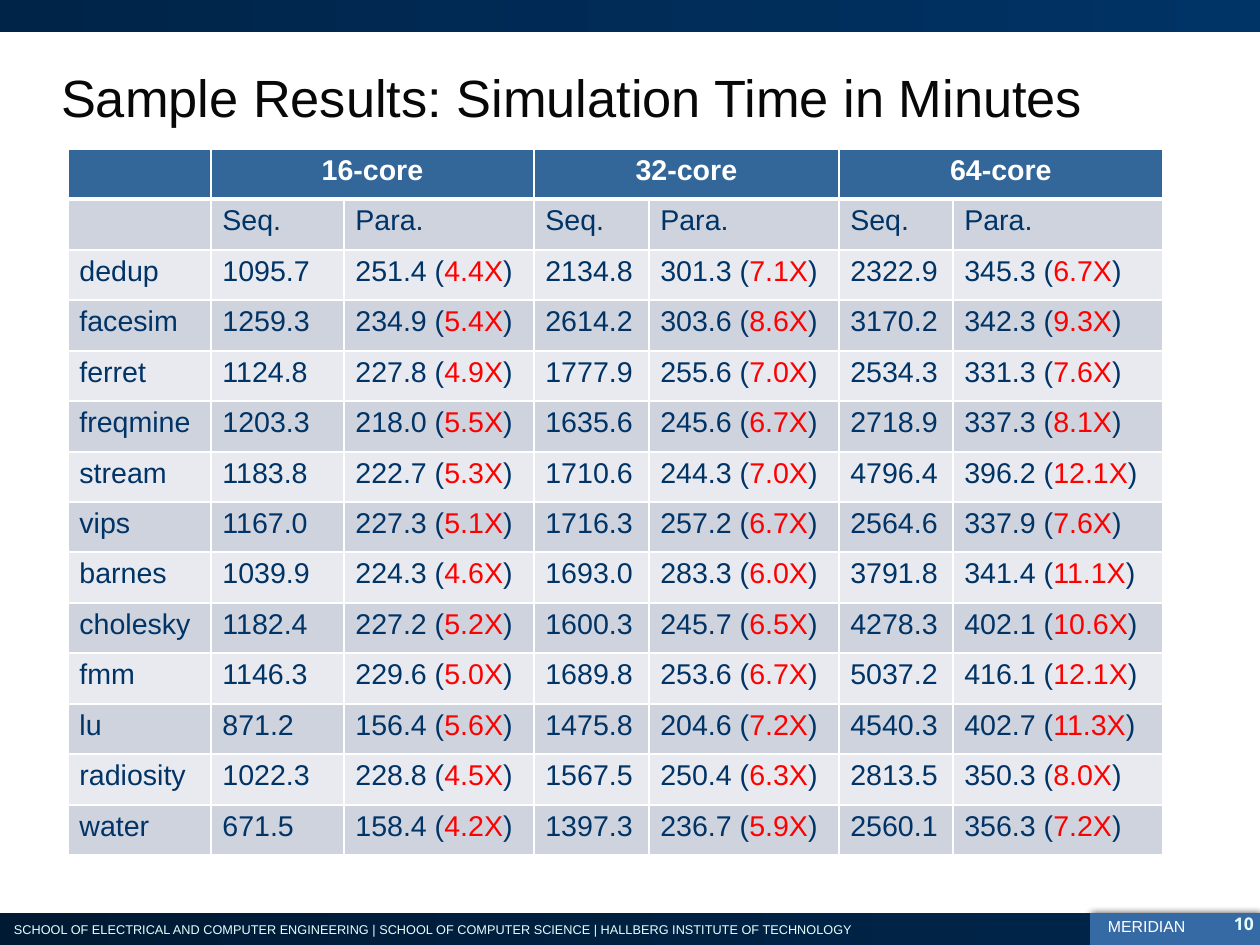
from itertools import chain, pairwise

from lxml.etree import SubElement
from pptx import Presentation
from pptx.dml.color import RGBColor
from pptx.enum.shapes import MSO_SHAPE as Shape
from pptx.enum.text import MSO_ANCHOR as Anchor, MSO_AUTO_SIZE as AutoSize, PP_ALIGN as Align
from pptx.oxml.ns import qn
from pptx.util import Pt

TITLE = "Sample Results: Simulation Time in Minutes"
SCHOOLS = ("SCHOOL OF ELECTRICAL AND COMPUTER ENGINEERING | SCHOOL OF COMPUTER SCIENCE | "
           "HALLBERG INSTITUTE OF TECHNOLOGY")
PROJECT = "MERIDIAN"
PAGE_NUMBER = "10"
CORE_COUNTS = ("16-core", "32-core", "64-core")
RUN_KINDS = ("Seq.", "Para.")

# Benchmark, then sequential time, parallel time and speedup for each core count
RESULTS = [
    ("dedup", (1095.7, 251.4, 4.4), (2134.8, 301.3, 7.1), (2322.9, 345.3, 6.7)),
    ("facesim", (1259.3, 234.9, 5.4), (2614.2, 303.6, 8.6), (3170.2, 342.3, 9.3)),
    ("ferret", (1124.8, 227.8, 4.9), (1777.9, 255.6, 7.0), (2534.3, 331.3, 7.6)),
    ("freqmine", (1203.3, 218.0, 5.5), (1635.6, 245.6, 6.7), (2718.9, 337.3, 8.1)),
    ("stream", (1183.8, 222.7, 5.3), (1710.6, 244.3, 7.0), (4796.4, 396.2, 12.1)),
    ("vips", (1167.0, 227.3, 5.1), (1716.3, 257.2, 6.7), (2564.6, 337.9, 7.6)),
    ("barnes", (1039.9, 224.3, 4.6), (1693.0, 283.3, 6.0), (3791.8, 341.4, 11.1)),
    ("cholesky", (1182.4, 227.2, 5.2), (1600.3, 245.7, 6.5), (4278.3, 402.1, 10.6)),
    ("fmm", (1146.3, 229.6, 5.0), (1689.8, 253.6, 6.7), (5037.2, 416.1, 12.1)),
    ("lu", (871.2, 156.4, 5.6), (1475.8, 204.6, 7.2), (4540.3, 402.7, 11.3)),
    ("radiosity", (1022.3, 228.8, 4.5), (1567.5, 250.4, 6.3), (2813.5, 350.3, 8.0)),
    ("water", (671.5, 158.4, 4.2), (1397.3, 236.7, 5.9), (2560.1, 356.3, 7.2)),
]

COLORS = {
    "title": "080808", "navy": "003366", "deep": "002448", "night": "001A34",
    "tab": "366AA4", "header": "336699", "odd": "CED3DE", "even": "E8EAEF",
    "speedup": "FF0000", "white": "FFFFFF", "footer": "E5FFFF", "shadow": "000000",
}
PIXEL = 8000  # EMU
WIDTH, HEIGHT = 1260, 945
BAR_HEIGHT = 32
FOOTER_TOP = HEIGHT - BAR_HEIGHT
TAB_LEFT = 1090
TABLE_LEFT, TABLE_TOP, TABLE_HEIGHT = 68, 149, 706
COLUMN_WIDTHS = (143, 133, 190, 115, 190, 114, 210)


def px(*lengths):
    """Turn pixel lengths into EMU."""
    return [length * PIXEL for length in lengths]


def rgb(name):
    """Look up a named colour."""
    return RGBColor.from_string(COLORS[name])


def write(paragraph, *parts, size, font="Arial", bold=False, align=Align.LEFT, spacing=None):
    """Fill a paragraph with (text, colour) runs."""
    paragraph.alignment = align
    paragraph.line_spacing = spacing
    for text, color in parts:
        run = paragraph.add_run()
        run.text = text
        run.font.size, run.font.name, run.font.bold = Pt(size), font, bold
        run.font.color.rgb = rgb(color)


def add_bar(slide, box, *colors):
    """Add a rectangle with a plain or a left-to-right gradient fill."""
    shape = slide.shapes.add_shape(Shape.RECTANGLE, *px(*box))
    shape.shadow.inherit = False
    shape.line.fill.background()
    if len(colors) == 1:
        shape.fill.solid()
        shape.fill.fore_color.rgb = rgb(colors[0])
    else:
        shape.fill.gradient()
        shape.fill.gradient_angle = 0
        for stop, color in zip(shape.fill.gradient_stops, colors):
            stop.color.rgb = rgb(color)
    return shape


def add_shadow(shape):
    """Give a shape a soft outer shadow."""
    effects = shape._element.spPr.find(qn("a:effectLst"))
    outer = SubElement(effects, qn("a:outerShdw"), blurRad=str(Pt(5)), dist=str(Pt(1)), dir="0")
    color = SubElement(outer, qn("a:srgbClr"), val=COLORS["shadow"])
    SubElement(color, qn("a:alpha"), val="75000")


def add_label(slide, box, text, color, side_inset=12, **style):
    """Add a one-line text box."""
    frame = slide.shapes.add_textbox(*px(*box)).text_frame
    frame.word_wrap = True
    frame.margin_left = frame.margin_right = side_inset * PIXEL
    frame.margin_top = frame.margin_bottom = 6 * PIXEL
    write(frame.paragraphs[0], (text, color), **style)


def fill_cell(cell, fill, *parts, bottom=1, **style):
    """Set the fill, white borders and text of a table cell."""
    properties = cell._tc.get_or_add_tcPr()
    for side, width in (("L", 1), ("R", 1), ("T", 1), ("B", bottom)):
        line = SubElement(properties, qn(f"a:ln{side}"), w=str(Pt(width)))
        SubElement(SubElement(line, qn("a:solidFill")), qn("a:srgbClr"), val=COLORS["white"])
    cell.fill.solid()
    cell.fill.fore_color.rgb = rgb(fill)
    cell.margin_top = 8 * PIXEL
    write(cell.text_frame.paragraphs[0], *parts, size=18, spacing=0.93, **style)


def result_cells(name, *timings):
    """Return the runs of each cell in one benchmark row."""
    cells = [[(name, "navy")]]
    for sequential, parallel, speedup in timings:
        cells.append([(f"{sequential:.1f}", "navy")])
        cells.append([(f"{parallel:.1f} (", "navy"), (f"{speedup:.1f}X", "speedup"), (")", "navy")])
    return cells


def add_results_table(slide):
    """Build the table of simulation times."""
    kinds = [[]] + [[(kind, "navy")] for kind in RUN_KINDS * len(CORE_COUNTS)]
    body = [kinds] + [result_cells(*result) for result in RESULTS]
    row_count = len(body) + 1
    frame = slide.shapes.add_table(row_count, len(COLUMN_WIDTHS), *px(
        TABLE_LEFT, TABLE_TOP, sum(COLUMN_WIDTHS), TABLE_HEIGHT))
    table = frame.table
    for column, width in zip(table.columns, COLUMN_WIDTHS):
        column.width = width * PIXEL
    edges = [round(TABLE_HEIGHT * index / row_count) for index in range(row_count + 1)]
    for row, (top, bottom) in zip(table.rows, pairwise(edges)):
        row.height = (bottom - top) * PIXEL

    headings = [[]] + list(chain.from_iterable([[(cores, "white")], []] for cores in CORE_COUNTS))
    for column, parts in enumerate(headings):
        fill_cell(table.cell(0, column), "header", *parts, bottom=3, bold=True, align=Align.CENTER)
    for column in range(1, len(COLUMN_WIDTHS), 2):
        table.cell(0, column).merge(table.cell(0, column + 1))
    for row, cells in enumerate(body, start=1):
        for column, parts in enumerate(cells):
            fill_cell(table.cell(row, column), "odd" if row % 2 else "even", *parts)


def add_title(slide):
    """Place and format the title placeholder."""
    title = slide.shapes.title
    title.left, title.top, title.width, title.height = px(48, 32, 1172, 130)
    frame = title.text_frame
    frame.auto_size = AutoSize.NONE
    frame.vertical_anchor = Anchor.MIDDLE
    frame.margin_left = frame.margin_right = 13 * PIXEL
    write(frame.paragraphs[0], (TITLE, "title"), size=33)


presentation = Presentation()
presentation.slide_width, presentation.slide_height = px(WIDTH, HEIGHT)
slide = presentation.slides.add_slide(presentation.slide_layouts[5])

project_tab = add_bar(slide, (TAB_LEFT, FOOTER_TOP, WIDTH - TAB_LEFT, BAR_HEIGHT), "tab")
add_shadow(project_tab)
add_bar(slide, (0, FOOTER_TOP, TAB_LEFT, BAR_HEIGHT), "night", "deep")
add_bar(slide, (0, 0, WIDTH, BAR_HEIGHT), "deep", "navy")
add_label(slide, (1, 916, 1000, 28), SCHOOLS, "footer", side_inset=13, size=8)
add_label(slide, (1096, 912, 109, 30), PROJECT, "white", size=10, spacing=0.93)
add_title(slide)
add_results_table(slide)
add_label(slide, (1205, 907, 49, 30), PAGE_NUMBER, "footer", side_inset=0,
          size=11, font="Noto Sans", bold=True, align=Align.RIGHT)

presentation.save("out.pptx")
